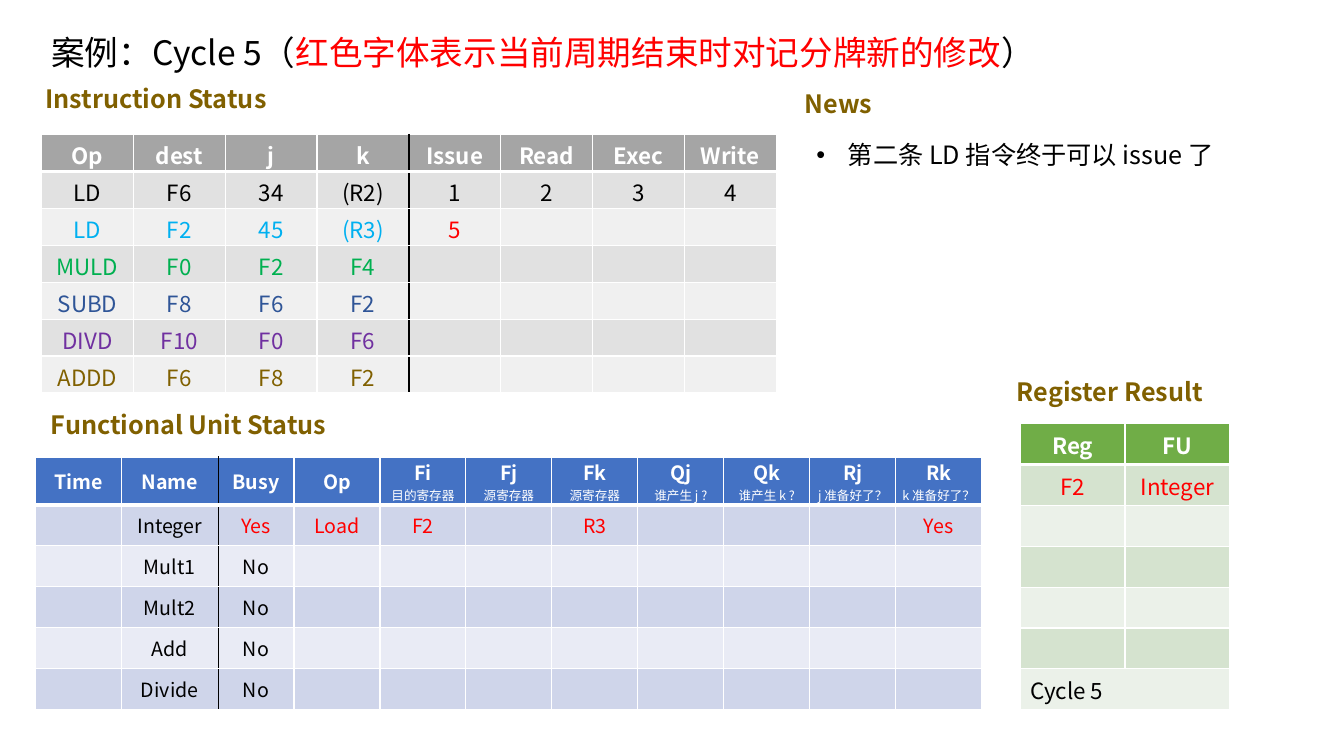
"""Build the scoreboard slide for cycle 5."""
from lxml import etree
from pptx import Presentation
from pptx.dml.color import RGBColor
from pptx.enum.text import MSO_ANCHOR, MSO_AUTO_SIZE, PP_ALIGN
from pptx.oxml.ns import qn
from pptx.util import Pt

FONT = "Noto Sans CJK SC"
BLACK = RGBColor(0x00, 0x00, 0x00)
WHITE = RGBColor(0xFF, 0xFF, 0xFF)
RED = RGBColor(0xFF, 0x00, 0x00)
CYAN = RGBColor(0x00, 0xB0, 0xF0)
GREEN = RGBColor(0x00, 0xB0, 0x50)
NAVY = RGBColor(0x2F, 0x55, 0x97)
PURPLE = RGBColor(0x70, 0x30, 0xA0)
BROWN = RGBColor(0x80, 0x60, 0x00)
GREYS = [RGBColor(0xA5, 0xA5, 0xA5), RGBColor(0xE1, 0xE1, 0xE1), RGBColor(0xF0, 0xF0, 0xF0)]
BLUES = [RGBColor(0x44, 0x72, 0xC4), RGBColor(0xCF, 0xD5, 0xEA), RGBColor(0xE9, 0xEB, 0xF5)]
GREENS = [RGBColor(0x70, 0xAD, 0x47), RGBColor(0xD5, 0xE3, 0xCF), RGBColor(0xEB, 0xF1, 0xE9)]
LEFT, CENTER = PP_ALIGN.LEFT, PP_ALIGN.CENTER
TOP, MIDDLE = MSO_ANCHOR.TOP, MSO_ANCHOR.MIDDLE
NO_FIT = MSO_AUTO_SIZE.NONE


def write(p, text, size=18, color=BLACK, bold=False, align=LEFT):
    p.alignment = align
    r = p.add_run()
    r.text = text
    r.font.name = FONT
    r.font.size = Pt(size)
    r.font.bold = bold
    r.font.color.rgb = color
    etree.SubElement(r._r.get_or_add_rPr(), qn("a:ea"), typeface=FONT)


def add_grid(x, y, widths, heights, rows, colors, reds, fills, size, anchor, margins, split=None):
    frame = s.shapes.add_table(len(rows), len(widths), Pt(x), Pt(y), Pt(sum(widths)), Pt(sum(heights)))
    table = frame.table
    table.horz_banding = False
    for column, width in zip(table.columns, widths):
        column.width = Pt(width)
    for i, (row, values) in enumerate(zip(table.rows, rows)):
        row.height = Pt(heights[i])
        for j, cell in enumerate(row.cells):
            cell.vertical_anchor = anchor
            cell.margin_left = cell.margin_right = Pt(margins[0])
            cell.margin_top, cell.margin_bottom = Pt(margins[1]), Pt(margins[2])
            for side in "LRTB":
                dark = (side == "R" and j + 1 == split) or (side == "L" and j == split)
                thick = (side == "B" and i == 0) or (side == "T" and i == 1)
                ln = etree.SubElement(cell._tc.get_or_add_tcPr(), qn("a:ln" + side),
                                      w=str(Pt(3 if thick else 1)))
                fill = etree.SubElement(ln, qn("a:solidFill"))
                etree.SubElement(fill, qn("a:srgbClr"), val=str(BLACK if dark else WHITE))
            cell.fill.solid()
            cell.fill.fore_color.rgb = fills[0] if i == 0 else fills[2 - i % 2]
            if j >= len(values) or not values[j]:
                continue
            tf = cell.text_frame
            for k, line in enumerate(values[j].split("\n")):
                p = tf.add_paragraph() if k else tf.paragraphs[0]
                write(p, line, size=9 if k else size, bold=i == 0 and k == 0, align=CENTER,
                      color=RED if (i, j) in reds else colors[i])
    return table


prs = Presentation()
prs.slide_width, prs.slide_height = Pt(960), Pt(540)
s = prs.slides.add_slide(prs.slide_layouts[1])
title, news = s.placeholders

title.left, title.top, title.width, title.height = Pt(29.5), Pt(14.4), Pt(828), Pt(49)
tf = title.text_frame
tf.auto_size = NO_FIT
tf.vertical_anchor = MIDDLE
p = tf.paragraphs[0]
p.line_spacing = 0.9
for text, color in [("案例：Cycle 5（", BLACK), ("红色字体表示当前周期结束时对记分牌新的修改", RED), ("）", BLACK)]:
    write(p, text, size=24, color=color)

news.left, news.top, news.width, news.height = Pt(576), Pt(95.8), Pt(326.9), Pt(28.8)
tf = news.text_frame
tf.auto_size = NO_FIT
tf.vertical_anchor = TOP
p = tf.paragraphs[0]
pPr = p._p.get_or_add_pPr()
pPr.set("marL", str(Pt(22.5)))
pPr.set("indent", str(-Pt(22.5)))
etree.SubElement(pPr, qn("a:buFont"), typeface="Arial")
etree.SubElement(pPr, qn("a:buChar"), char="•")
p.space_before = Pt(0)
write(p, "第二条 LD 指令终于可以 issue 了")

for text, x, y, width in [
    ("Instruction Status", 25.2, 56.2, 176.4),
    ("Functional Unit Status", 29.2, 288.7, 216.7),
    ("Register Result", 719.3, 265, 151.9),
    ("News", 567.8, 59.8, 64.8),
]:
    sp = s.shapes.add_textbox(Pt(x), Pt(y), Pt(width), Pt(28.8))
    sp.text_frame.word_wrap = False
    write(sp.text_frame.paragraphs[0], text, color=BROWN, bold=True)

instructions = [
    ["Op", "dest", "j", "k", "Issue", "Read", "Exec", "Write"],
    ["LD", "F6", "34", "(R2)", "1", "2", "3", "4"],
    ["LD", "F2", "45", "(R3)", "5"],
    ["MULD", "F0", "F2", "F4"],
    ["SUBD", "F8", "F6", "F2"],
    ["DIVD", "F10", "F0", "F6"],
    ["ADDD", "F6", "F8", "F2"],
]
add_grid(29.7, 96, [65.6] * 8, [26.4] * 7, instructions,
         [WHITE, BLACK, CYAN, GREEN, NAVY, PURPLE, BROWN], {(2, 4)},
         GREYS, 16, MIDDLE, (7.2, 3.2, 0), split=4)

units = [
    ["Time", "Name", "Busy", "Op", "Fi\n目的寄存器", "Fj\n源寄存器", "Fk\n源寄存器",
     "Qj\n谁产生 j ?", "Qk\n谁产生 k ?", "Rj\nj 准备好了？", "Rk\nk 准备好了？"],
    ["", "Integer", "Yes", "Load", "F2", "", "R3", "", "", "", "Yes"],
]
units += [["", name, "No"] for name in ("Mult1", "Mult2", "Add", "Divide")]
add_grid(25.4, 326.4, [61.4, 69, 54.2] + [61.4] * 8, [34.2] + [29.3] * 5, units,
         [WHITE] + [BLACK] * 5, {(1, j) for j in range(2, 11)},
         BLUES, 14, MIDDLE, (0, 0, 0), split=2)

registers = [["Reg", "FU"], ["F2", "Integer"], [], [], [], [], ["Cycle 5"]]
table = add_grid(728.8, 302.6, [74.8] * 2, [29.2] * 7, registers,
                 [WHITE, RED] + [BLACK] * 5, set(), GREENS, 16, TOP, (7.2, 3.6, 0))
cycle = table.cell(6, 0)
cycle.merge(table.cell(6, 1))
cycle.text_frame.paragraphs[0].alignment = LEFT

prs.save("out.pptx")
